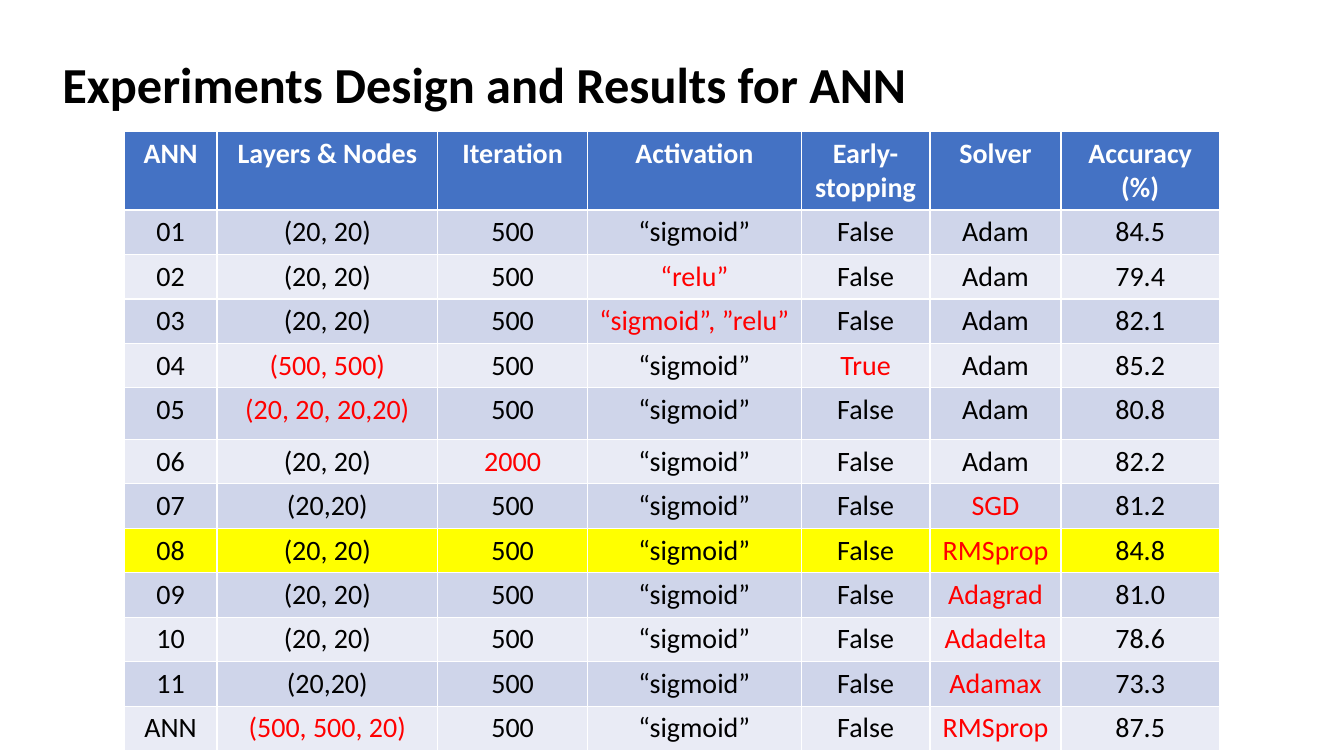
from pptx import Presentation
from pptx.dml.color import RGBColor as RGB
from pptx.enum.text import MSO_ANCHOR as ANCHOR, PP_ALIGN as ALIGN
from pptx.util import Cm, Pt

COLORS = {
    "text": "000000",
    "header_text": "FFFFFF",
    "header": "4472C4",
    "odd": "CFD5EA",
    "even": "E9EBF5",
    "best": "FFFF00",
    "changed": "FF0000",
}

HEADERS = ["ANN", "Layers & Nodes", "Iteration", "Activation",
           "Early-stopping", "Solver", "Accuracy\n(%)"]
BASELINE = {1: "(20,20)", 2: "500", 3: "“sigmoid”", 4: "False", 5: "Adam"}
EXPERIMENTS = [
    ["01", "(20, 20)", "500", "“sigmoid”", "False", "Adam", "84.5"],
    ["02", "(20, 20)", "500", "“relu”", "False", "Adam", "79.4"],
    ["03", "(20, 20)", "500", "“sigmoid”, ”relu”", "False", "Adam", "82.1"],
    ["04", "(500, 500)", "500", "“sigmoid”", "True", "Adam", "85.2"],
    ["05", "(20, 20, 20,20)", "500", "“sigmoid”", "False", "Adam", "80.8"],
    ["06", "(20, 20)", "2000", "“sigmoid”", "False", "Adam", "82.2"],
    ["07", "(20,20)", "500", "“sigmoid”", "False", "SGD", "81.2"],
    ["08", "(20, 20)", "500", "“sigmoid”", "False", "RMSprop", "84.8"],
    ["09", "(20, 20)", "500", "“sigmoid”", "False", "Adagrad", "81.0"],
    ["10", "(20, 20)", "500", "“sigmoid”", "False", "Adadelta", "78.6"],
    ["11", "(20,20)", "500", "“sigmoid”", "False", "Adamax", "73.3"],
    ["ANN", "(500, 500, 20)", "500", "“sigmoid”", "False", "RMSprop", "87.5"],
]
BEST = "08"
COL_WIDTHS = [2.34, 5.56, 3.78, 5.38, 3.25, 3.3, 3.99]
HEADER_HEIGHT, ROW_HEIGHT = 1.95, 1.12
TALL_ROWS = {"05": 1.3}


def is_changed(col, value):
    """Tell whether a setting differs from the baseline experiment."""
    return col in BASELINE and value.replace(" ", "") != BASELINE[col]


class SlideBuilder:
    font = "Calibri"
    title_size = 36
    table_size = 20

    def __init__(self, prs):
        self.slide = prs.slides.add_slide(prs.slide_layouts[5])

    def format_text(self, tf, size, color, bold, align):
        for p in tf.paragraphs:
            p.alignment = align
            for r in p.runs:
                r.font.name = self.font
                r.font.size = Pt(size)
                r.font.bold = bold
                r.font.color.rgb = RGB.from_string(COLORS[color])

    def title(self, text, left, top, width, height):
        sp = self.slide.shapes.title
        sp.left, sp.top, sp.width, sp.height = map(Cm, (left, top, width, height))
        tf = sp.text_frame
        tf.text = text
        tf.word_wrap = True
        tf.vertical_anchor = ANCHOR.TOP
        tf.margin_left = tf.margin_right = Cm(0.25)
        tf.margin_top = tf.margin_bottom = Cm(0.25)
        tf.paragraphs[0].line_spacing = 0.9
        self.format_text(tf, self.title_size, "text", True, ALIGN.LEFT)

    def cell(self, cell, text, fill, color, bold=False):
        cell.text = text
        cell.fill.solid()
        cell.fill.fore_color.rgb = RGB.from_string(COLORS[fill])
        self.format_text(cell.text_frame, self.table_size, color, bold, ALIGN.CENTER)

    def results_table(self, left, top):
        heights = [HEADER_HEIGHT] + [TALL_ROWS.get(row[0], ROW_HEIGHT) for row in EXPERIMENTS]
        table = self.slide.shapes.add_table(
            len(heights), len(COL_WIDTHS), Cm(left), Cm(top),
            Cm(sum(COL_WIDTHS)), Cm(sum(heights))).table
        for column, width in zip(table.columns, COL_WIDTHS):
            column.width = Cm(width)
        for row, height in zip(table.rows, heights):
            row.height = Cm(height)
        for col, text in enumerate(HEADERS):
            self.cell(table.cell(0, col), text, "header", "header_text", True)
        for i, values in enumerate(EXPERIMENTS, 1):
            fill = "best" if values[0] == BEST else "odd" if i % 2 else "even"
            for col, value in enumerate(values):
                color = "changed" if is_changed(col, value) else "text"
                self.cell(table.cell(i, col), value, fill, color)


def main():
    prs = Presentation()
    prs.slide_width, prs.slide_height = Cm(33.87), Cm(19.05)
    builder = SlideBuilder(prs)
    builder.results_table(3.13, 3.31)
    builder.title("Experiments Design and Results for ANN", 1.32, 1.25, 23.06, 1.73)
    prs.save("out.pptx")


if __name__ == "__main__":
    main()
